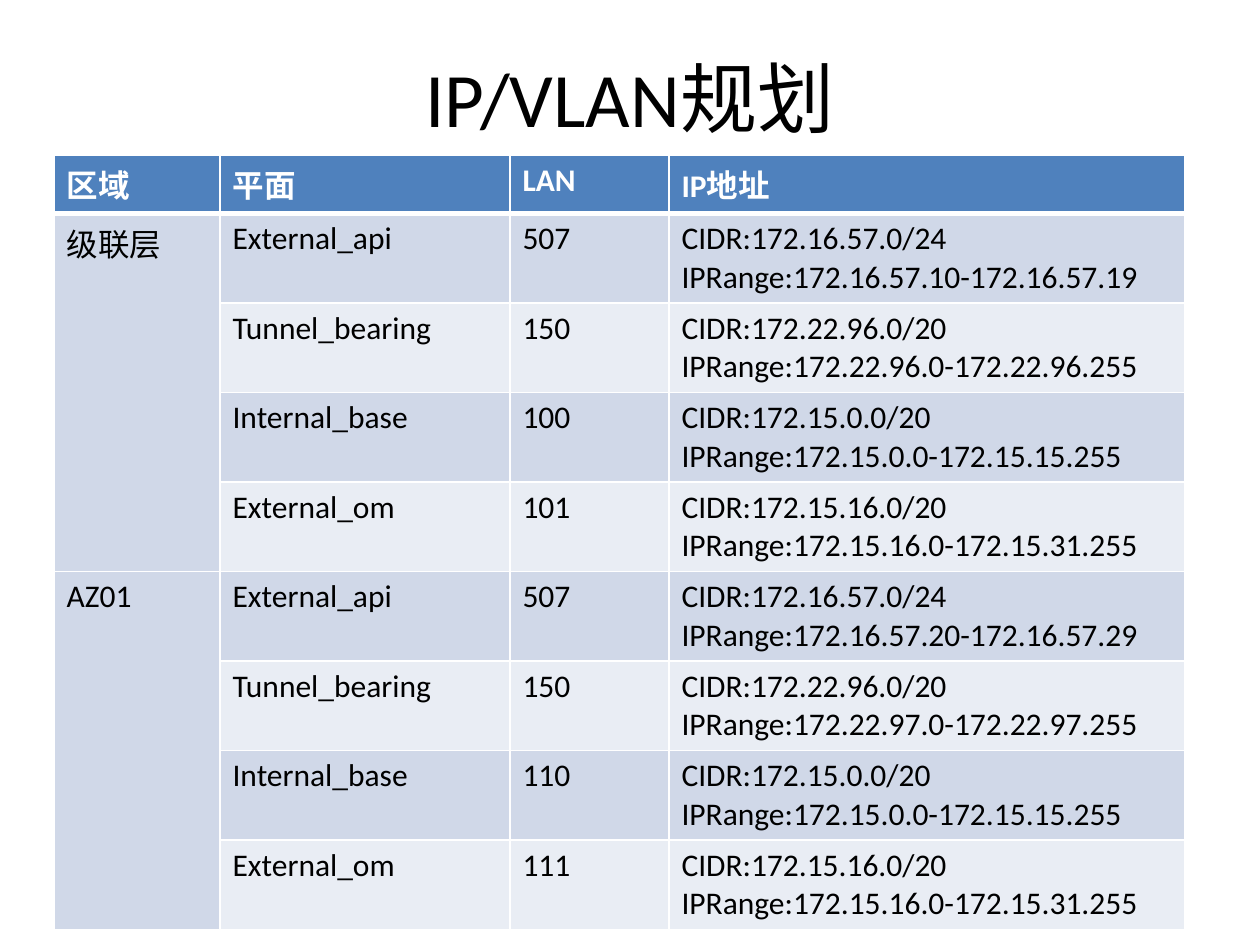
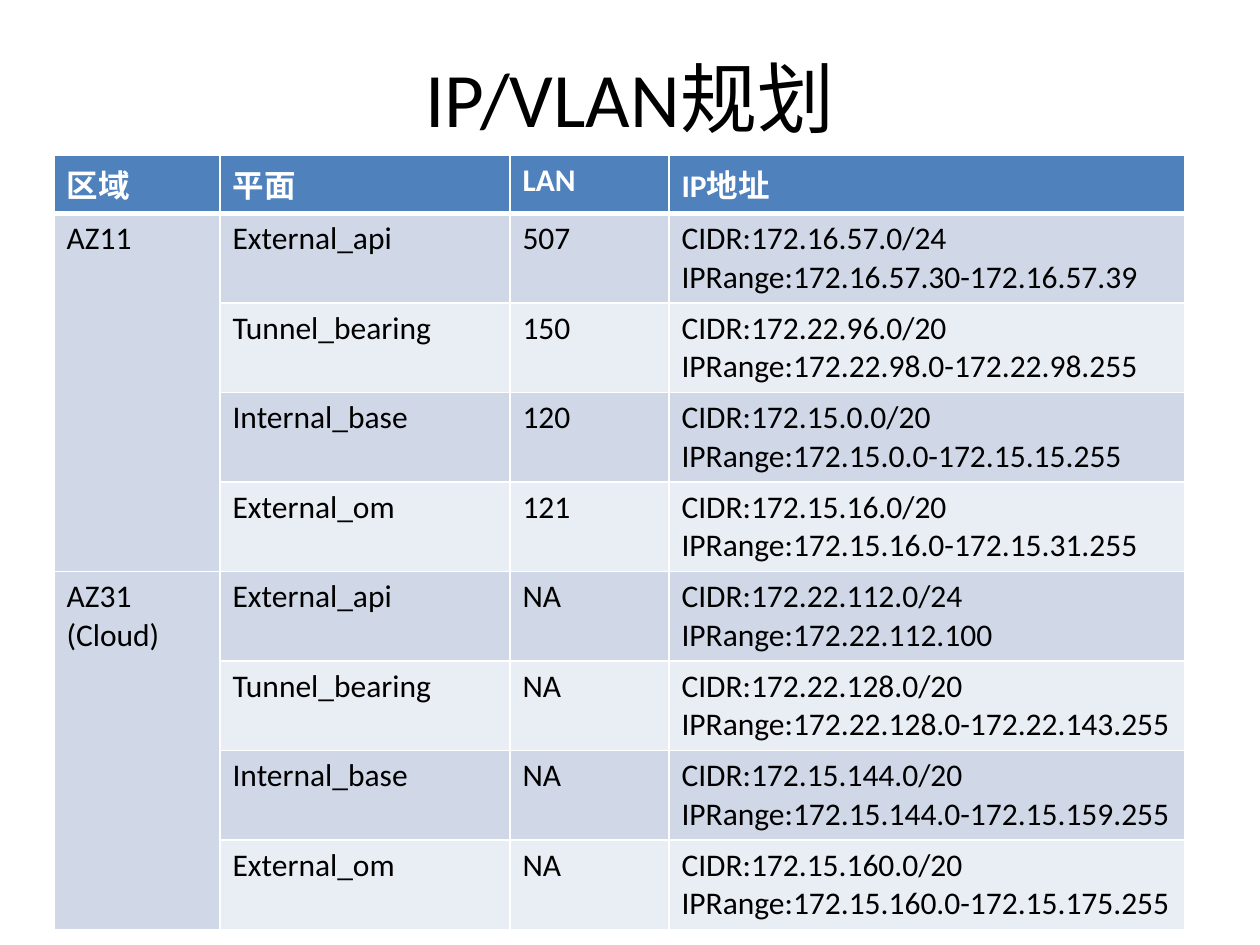
from lxml import etree
from pptx import Presentation
from pptx.dml.color import RGBColor
from pptx.enum.text import MSO_ANCHOR, PP_ALIGN
from pptx.oxml.ns import qn
from pptx.util import Pt

CENTER = PP_ALIGN.CENTER
MIDDLE = MSO_ANCHOR.MIDDLE

WHITE = RGBColor(0xFF, 0xFF, 0xFF)
BLACK = RGBColor(0x00, 0x00, 0x00)
HEADER_BLUE = RGBColor(0x4F, 0x81, 0xBD)
BAND_DARK = RGBColor(0xD0, 0xD8, 0xE8)
BAND_LIGHT = RGBColor(0xE9, 0xED, 0xF4)

SCALE = 914400 // 126
TITLE_BOX = (63, 38, 1134, 117)
TABLE_BOX = (54, 155, 1131, 757)
COLUMN_WIDTHS = (166, 290, 159, 516)
ROW_HEIGHT = 52

TITLE_FONT = {"name": "Calibri", "size": Pt(44)}
HEADER_FONT = {"name": "Calibri", "size": Pt(18), "bold": True}
BODY_FONT = {"name": "Calibri", "size": Pt(18), "bold": False}

TITLE = "IP/VLAN规划"
HEADERS = ("区域", "平面", "LAN", "IP地址")
PLANES = ("External_api", "Tunnel_bearing", "Internal_base", "External_om")

PLANS = [
    [
        ("级联层", [
            ("507", "172.16.57.0/24", "172.16.57.10-172.16.57.19"),
            ("150", "172.22.96.0/20", "172.22.96.0-172.22.96.255"),
            ("100", "172.15.0.0/20", "172.15.0.0-172.15.15.255"),
            ("101", "172.15.16.0/20", "172.15.16.0-172.15.31.255"),
        ]),
        ("AZ01", [
            ("507", "172.16.57.0/24", "172.16.57.20-172.16.57.29"),
            ("150", "172.22.96.0/20", "172.22.97.0-172.22.97.255"),
            ("110", "172.15.0.0/20", "172.15.0.0-172.15.15.255"),
            ("111", "172.15.16.0/20", "172.15.16.0-172.15.31.255"),
        ]),
    ],
    [
        ("AZ11", [
            ("507", "172.16.57.0/24", "172.16.57.30-172.16.57.39"),
            ("150", "172.22.96.0/20", "172.22.98.0-172.22.98.255"),
            ("120", "172.15.0.0/20", "172.15.0.0-172.15.15.255"),
            ("121", "172.15.16.0/20", "172.15.16.0-172.15.31.255"),
        ]),
        ("AZ31\n(Cloud)", [
            ("NA", "172.22.112.0/24", "172.22.112.100"),
            ("NA", "172.22.128.0/20", "172.22.128.0-172.22.143.255"),
            ("NA", "172.15.144.0/20", "172.15.144.0-172.15.159.255"),
            ("NA", "172.15.160.0/20", "172.15.160.0-172.15.175.255"),
        ]),
    ],
]


def px(n):
    return n * SCALE


def write_text(tf, text, font, color):
    tf.text = text
    for p in tf.paragraphs:
        for r in p.runs:
            for name, value in font.items():
                setattr(r.font, name, value)
            r.font.color.rgb = color


def add_title(slide):
    sp = slide.shapes.title
    sp.left, sp.top, sp.width, sp.height = map(px, TITLE_BOX)
    tf = sp.text_frame
    write_text(tf, TITLE, TITLE_FONT, BLACK)
    tf.vertical_anchor = MIDDLE
    tf.paragraphs[0].alignment = CENTER


def set_borders(cell, top, bottom):
    tc_pr = cell._tc.get_or_add_tcPr()
    for side, width in (("L", 1), ("R", 1), ("T", top), ("B", bottom)):
        ln = etree.SubElement(tc_pr, qn(f"a:ln{side}"), w=str(Pt(width)))
        fill = etree.SubElement(ln, qn("a:solidFill"))
        etree.SubElement(fill, qn("a:srgbClr"), val=str(WHITE))


def style_cell(cell, fill, top=1, bottom=1):
    set_borders(cell, top, bottom)
    cell.fill.solid()
    cell.fill.fore_color.rgb = fill


def fill_header(table):
    for col, text in enumerate(HEADERS):
        cell = table.cell(0, col)
        style_cell(cell, HEADER_BLUE, bottom=3)
        write_text(cell.text_frame, text, HEADER_FONT, WHITE)


def fill_zone(table, first, zone, networks):
    for i, (plane, (lan, cidr, ip_range)) in enumerate(zip(PLANES, networks)):
        row = first + i
        band = BAND_LIGHT if i % 2 else BAND_DARK
        address = f"CIDR:{cidr}\nIPRange:{ip_range}"
        for col, text in enumerate(("", plane, lan, address)):
            cell = table.cell(row, col)
            style_cell(cell, band if col else BAND_DARK,
                       top=3 if row == 1 else 1)
            if text:
                write_text(cell.text_frame, text, BODY_FONT, BLACK)
    zone_cell = table.cell(first, 0)
    zone_cell.merge(table.cell(first + len(PLANES) - 1, 0))
    write_text(zone_cell.text_frame, zone, BODY_FONT, BLACK)


def add_plan_table(slide, zones):
    rows = 1 + len(zones) * len(PLANES)
    frame = slide.shapes.add_table(rows, len(HEADERS), *map(px, TABLE_BOX))
    table = frame.table
    for column, width in zip(table.columns, COLUMN_WIDTHS):
        column.width = px(width)
    for row in table.rows:
        row.height = px(ROW_HEIGHT)
    frame.height = px(TABLE_BOX[3])
    fill_header(table)
    for i, (zone, networks) in enumerate(zones):
        fill_zone(table, 1 + i * len(PLANES), zone, networks)


def main():
    prs = Presentation()
    prs.slide_width, prs.slide_height = px(1260), px(945)
    for zones in PLANS:
        slide = prs.slides.add_slide(prs.slide_layouts[5])
        add_title(slide)
        add_plan_table(slide, zones)
    prs.save("out.pptx")


main()
